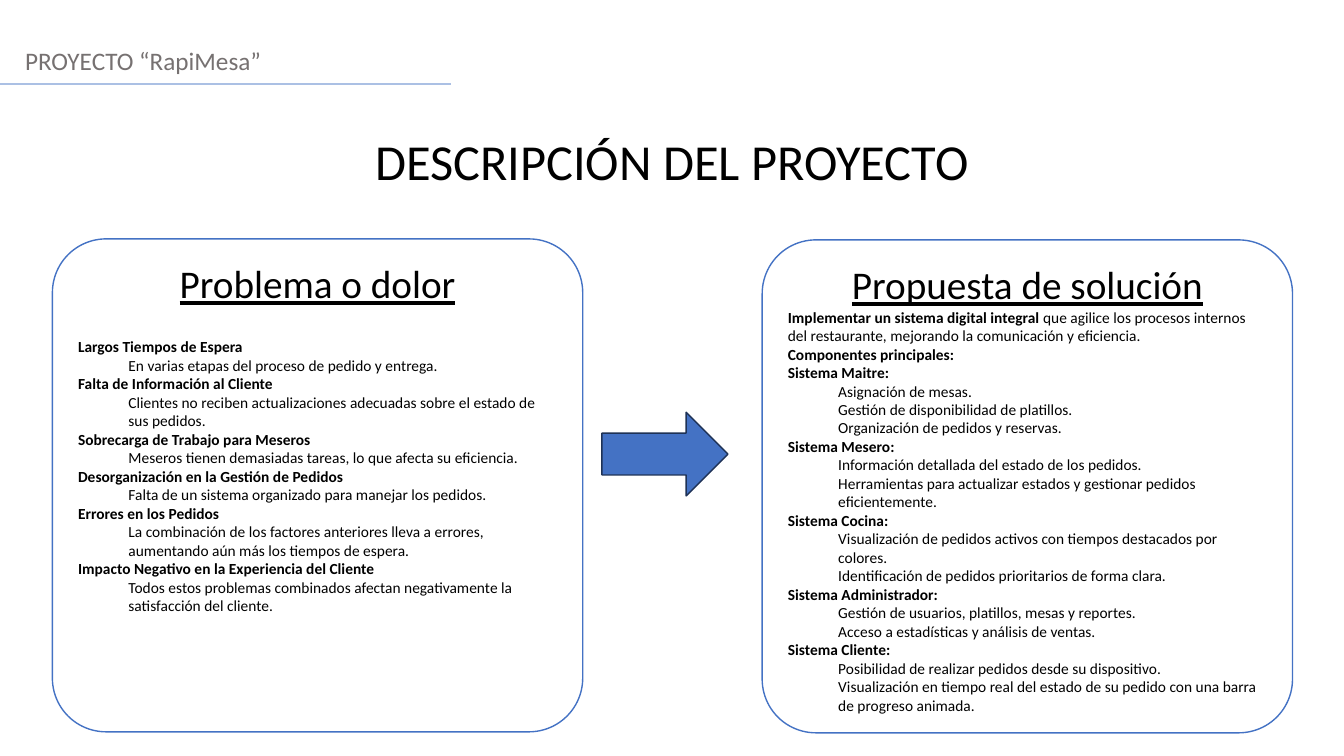
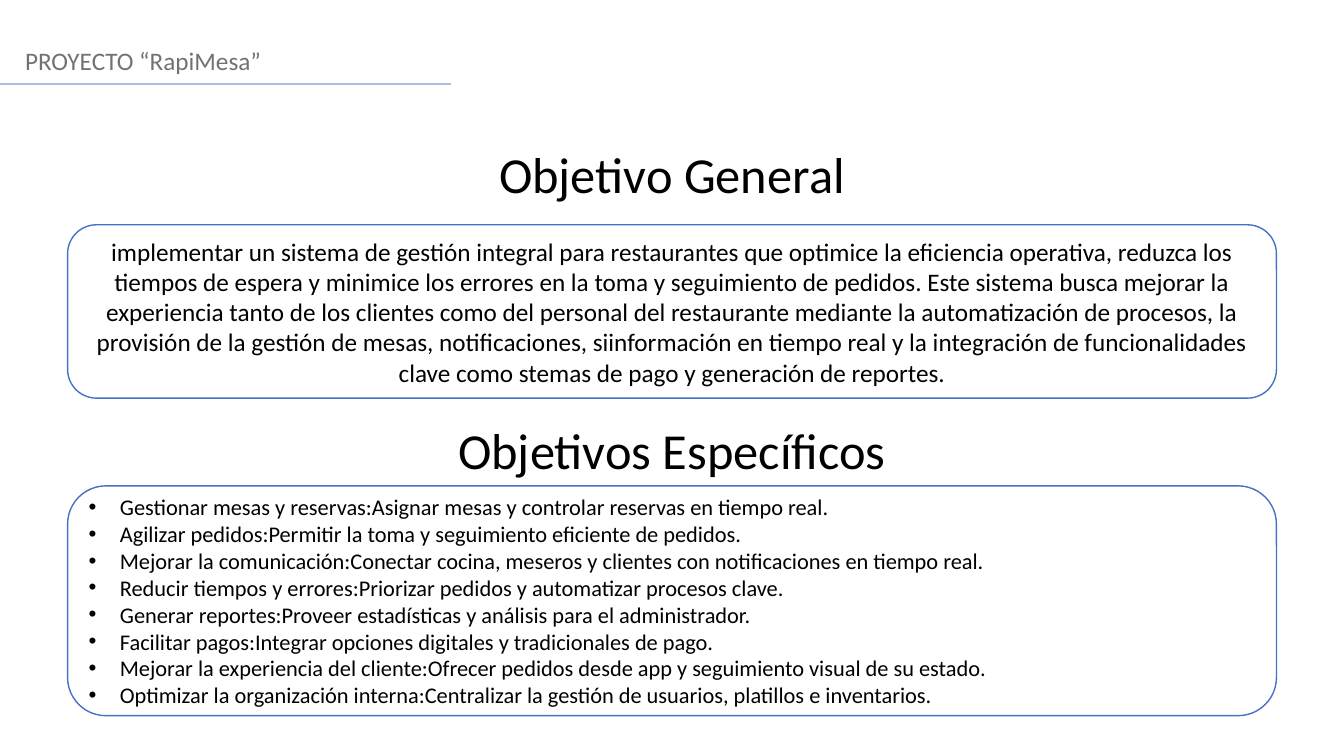
from pptx import Presentation
from pptx.dml.color import RGBColor
from pptx.enum.shapes import MSO_CONNECTOR, MSO_SHAPE
from pptx.enum.text import MSO_ANCHOR, PP_ALIGN
from pptx.oxml.ns import qn
from pptx.util import Inches, Pt
from lxml.etree import SubElement

FONT = "Calibri"
BLACK, WHITE, GRAY = "000000", "FFFFFF", "767171"
BLUE, PALE_BLUE, DARK_BLUE = "4472C4", "ABC0E4", "1E3256"


def color(value):
    return RGBColor.from_string(value)


def write(frame, text, size=11, fill=BLACK, bold=False, underline=False,
          align=PP_ALIGN.LEFT, before=0, indent=0, hanging=0, bullet=None, lead=""):
    """Add one paragraph; lead is a bold opening before the text."""
    frame.word_wrap = True
    first = frame.paragraphs[0]
    paragraph = first if not first.runs else frame.add_paragraph()
    paragraph.alignment = align
    paragraph.space_before = Pt(before)
    properties = paragraph._p.get_or_add_pPr()
    properties.set("marL", str(Inches(indent)))
    properties.set("indent", str(Inches(-hanging)))
    if bullet:
        SubElement(properties, qn("a:buFont"), typeface="Arial")
        SubElement(properties, qn("a:buChar"), char=bullet)
    for part, is_bold in ((lead, True), (text, bold)):
        if part:
            run = paragraph.add_run()
            run.text = part
            run.font.name, run.font.size = FONT, Pt(size)
            run.font.bold, run.font.underline = is_bold, underline
            run.font.color.rgb = color(fill)


deck = Presentation()
deck.slide_width, deck.slide_height = Inches(13.33), Inches(7.5)

# Shared header, rule and title
slides = []
for heading, top in (("DESCRIPCIÓN DEL PROYECTO", 1.24), ("Objetivo General", 1.37)):
    slide = deck.slides.add_slide(deck.slide_layouts[5])
    slides.append(slide)
    title = slide.shapes.title
    title.left, title.top = Inches(0), Inches(top)
    title.width, title.height = deck.slide_width, Inches(0.71)
    title.text_frame.vertical_anchor = MSO_ANCHOR.TOP
    write(title.text_frame, heading, size=36, align=PP_ALIGN.CENTER)

    project = slide.shapes.add_textbox(Inches(0.15), Inches(0.4), Inches(13), Inches(0.4))
    write(project.text_frame, "PROYECTO “RapiMesa”", size=18, fill=GRAY)

    rule = slide.shapes.add_connector(
        MSO_CONNECTOR.STRAIGHT, Inches(0), Inches(0.83), Inches(4.47), Inches(0.83))
    rule.line.color.rgb = color(PALE_BLUE)
    rule.line.width = Pt(1.25)
    SubElement(rule._element.spPr, qn("a:effectLst"))

description, objectives = slides

# Rounded cards of both slides
cards = []
for slide, left, top, width, height, corner, anchor in (
    (description, 0.52, 2.37, 5.26, 4.89, 0.109, MSO_ANCHOR.TOP),
    (description, 7.56, 2.38, 5.26, 4.89, 0.109, MSO_ANCHOR.TOP),
    (objectives, 0.67, 2.23, 11.99, 1.72, 0.16667, MSO_ANCHOR.MIDDLE),
    (objectives, 0.67, 4.82, 11.99, 2.28, 0.16667, MSO_ANCHOR.MIDDLE),
):
    card = slide.shapes.add_shape(MSO_SHAPE.ROUNDED_RECTANGLE, Inches(left), Inches(top),
                                  Inches(width), Inches(height))
    card.adjustments[0] = corner
    card.shadow.inherit = False
    card.fill.solid()
    card.fill.fore_color.rgb = color(WHITE)
    card.line.color.rgb = color(BLUE)
    card.line.width = Pt(1)
    card.text_frame.vertical_anchor = anchor
    cards.append(card.text_frame)

problem, solution, general, specific = cards

# Problem
write(problem, "Problema o dolor", size=28, underline=True, align=PP_ALIGN.CENTER)
pains = (
    ("Largos Tiempos de Espera", "En varias etapas del proceso de pedido y entrega."),
    ("Falta de Información al Cliente",
     "Clientes no reciben actualizaciones adecuadas sobre el estado de sus pedidos."),
    ("Sobrecarga de Trabajo para Meseros",
     "Meseros tienen demasiadas tareas, lo que afecta su eficiencia."),
    ("Desorganización en la Gestión de Pedidos",
     "Falta de un sistema organizado para manejar los pedidos."),
    ("Errores en los Pedidos",
     "La combinación de los factores anteriores lleva a errores, "
     "aumentando aún más los tiempos de espera."),
    ("Impacto Negativo en la Experiencia del Cliente",
     "Todos estos problemas combinados afectan negativamente la satisfacción del cliente."),
)
for number, (pain, detail) in enumerate(pains):
    write(problem, pain, bold=True, before=0 if number else 22)
    write(problem, detail, indent=0.5)

# Solution
write(solution, "Propuesta de solución", size=28, underline=True, align=PP_ALIGN.CENTER)
write(solution, " que agilice los procesos internos del restaurante, "
      "mejorando la comunicación y eficiencia.",
      lead="Implementar un sistema digital integral")
write(solution, "Componentes principales:", bold=True)
components = {
    "Sistema Maitre:": (
        "Asignación de mesas.",
        "Gestión de disponibilidad de platillos.",
        "Organización de pedidos y reservas."),
    "Sistema Mesero:": (
        "Información detallada del estado de los pedidos.",
        "Herramientas para actualizar estados y gestionar pedidos eficientemente."),
    "Sistema Cocina:": (
        "Visualización de pedidos activos con tiempos destacados por colores.",
        "Identificación de pedidos prioritarios de forma clara."),
    "Sistema Administrador:": (
        "Gestión de usuarios, platillos, mesas y reportes.",
        "Acceso a estadísticas y análisis de ventas."),
    "Sistema Cliente:": (
        "Posibilidad de realizar pedidos desde su dispositivo.",
        "Visualización en tiempo real del estado de su pedido con una barra "
        "de progreso animada."),
}
for component, features in components.items():
    write(solution, component, bold=True)
    for feature in features:
        write(solution, feature, indent=0.5)

# Arrow from problem to solution
arrow = description.shapes.add_shape(
    MSO_SHAPE.RIGHT_ARROW, Inches(5.97), Inches(4.09), Inches(1.25), Inches(0.83))
arrow.shadow.inherit = False
arrow.fill.solid()
arrow.fill.fore_color.rgb = color(BLUE)
arrow.line.color.rgb = color(DARK_BLUE)
arrow.line.width = Pt(1)

# General objective
write(general,
      "implementar un sistema de gestión integral para restaurantes que optimice la "
      "eficiencia operativa, reduzca los tiempos de espera y minimice los errores en la "
      "toma y seguimiento de pedidos. Este sistema busca mejorar la experiencia tanto de "
      "los clientes como del personal del restaurante mediante la automatización de "
      "procesos, la provisión de la gestión de mesas, notificaciones, siinformación en "
      "tiempo real y la integración de funcionalidades clave como stemas de pago y "
      "generación de reportes.", size=18, align=PP_ALIGN.CENTER)

# Specific objectives
subtitle = objectives.shapes.add_textbox(
    Inches(0), Inches(4.11), deck.slide_width, Inches(0.71))
write(subtitle.text_frame, "Objetivos Específicos", size=36, align=PP_ALIGN.CENTER)
for goal in (
    "Gestionar mesas y reservas:Asignar mesas y controlar reservas en tiempo real.",
    "Agilizar pedidos:Permitir la toma y seguimiento eficiente de pedidos.",
    "Mejorar la comunicación:Conectar cocina, meseros y clientes con notificaciones "
    "en tiempo real.",
    "Reducir tiempos y errores:Priorizar pedidos y automatizar procesos clave.",
    "Generar reportes:Proveer estadísticas y análisis para el administrador.",
    "Facilitar pagos:Integrar opciones digitales y tradicionales de pago.",
    "Mejorar la experiencia del cliente:Ofrecer pedidos desde app y seguimiento visual "
    "de su estado.",
    "Optimizar la organización interna:Centralizar la gestión de usuarios, platillos "
    "e inventarios.",
):
    write(specific, goal, size=16, indent=0.31, hanging=0.31, bullet="•")

deck.save("out.pptx")
